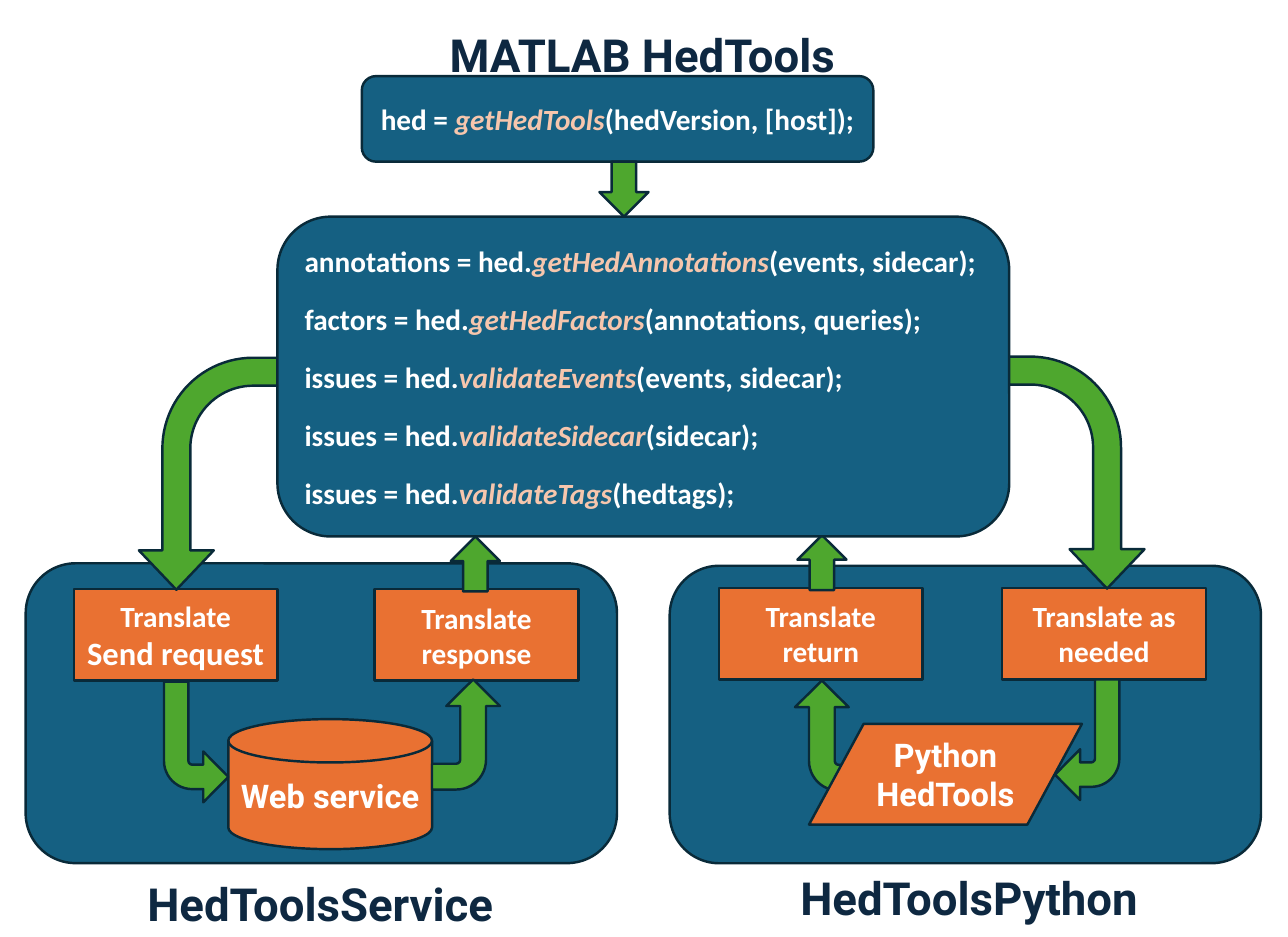
from dataclasses import dataclass
from typing import NamedTuple

from pptx import Presentation
from pptx.dml.color import RGBColor
from pptx.enum.shapes import MSO_SHAPE
from pptx.enum.text import MSO_ANCHOR, MSO_AUTO_SIZE, PP_ALIGN
from pptx.util import Pt

BLUE = RGBColor(0x15, 0x60, 0x82)
ORANGE = RGBColor(0xE9, 0x71, 0x32)
GREEN = RGBColor(0x4E, 0xA7, 0x2E)
OUTLINE = RGBColor(0x09, 0x2A, 0x39)
NAVY = RGBColor(0x0E, 0x28, 0x41)
PEACH = RGBColor(0xF6, 0xC6, 0xAD)
WHITE = RGBColor(0xFF, 0xFF, 0xFF)

LONG_BEND = (0.135, 0.181, 0.19, 0.438)
SHORT_BEND = (0.379, 0.395, 0.39, 0.438)
STEP_SIZE = (125.3, 56.2)
PANEL_WIDTH = 363.6
ARROW_SIZE = (30.2, 33.8)


class Area(NamedTuple):
    left: float
    top: float
    width: float
    height: float


class Call(NamedTuple):
    before: str
    function: str
    after: str


@dataclass
class Block:
    kind: MSO_SHAPE
    area: Area
    fill: RGBColor
    lines: tuple = ()
    font: str = "Calibri"
    sizes: tuple = (18,)
    align: PP_ALIGN = PP_ALIGN.CENTER
    gap: float = 0


@dataclass
class Bend:
    area: Area
    rotation: int
    mirrored: bool
    bends: tuple


@dataclass
class Heading:
    area: Area
    text: str


def add_span(para, text: str, *, size: float, font: str = "Calibri",
             color: RGBColor = WHITE, italic: bool = False) -> None:
    span = para.add_run()
    span.text = text
    span.font.name = font
    span.font.size = Pt(size)
    span.font.bold = True
    span.font.italic = italic
    span.font.color.rgb = color


def add_shape(page, kind: MSO_SHAPE, area: Area, fill: RGBColor):
    shape = page.shapes.add_shape(kind, *map(Pt, area))
    shape.shadow.inherit = False
    shape.fill.solid()
    shape.fill.fore_color.rgb = fill
    shape.line.color.rgb = OUTLINE
    shape.line.width = Pt(1.5)
    return shape


def draw_block(page, block: Block) -> None:
    frame = add_shape(page, block.kind, block.area, block.fill).text_frame
    frame.word_wrap = True
    frame.vertical_anchor = MSO_ANCHOR.MIDDLE
    for index, line in enumerate(block.lines):
        para = frame.paragraphs[0] if index == 0 else frame.add_paragraph()
        para.alignment = block.align
        if index:
            para.space_before = Pt(block.gap)
        size = block.sizes[min(index, len(block.sizes) - 1)]
        if isinstance(line, Call):
            add_span(para, line.before, size=size)
            add_span(para, line.function, size=size, color=PEACH, italic=True)
            add_span(para, line.after, size=size)
        else:
            add_span(para, line, size=size, font=block.font)


def draw_bend(page, bend: Bend) -> None:
    arrow = add_shape(page, MSO_SHAPE.BENT_ARROW, bend.area, GREEN)
    arrow.rotation = bend.rotation
    for index, value in enumerate(bend.bends):
        arrow.adjustments[index] = value
    if bend.mirrored:
        arrow.element.spPr.get_or_add_xfrm().set("flipH", "1")


def draw_heading(page, heading: Heading) -> None:
    box = page.shapes.add_textbox(*map(Pt, heading.area))
    frame = box.text_frame
    frame.word_wrap = True
    frame.auto_size = MSO_AUTO_SIZE.SHAPE_TO_FIT_TEXT
    para = frame.paragraphs[0]
    para.alignment = PP_ALIGN.CENTER
    add_span(para, heading.text, size=28, font="Roboto", color=NAVY)


def step(left: float, top: float, *lines: str, sizes: tuple = (18,)) -> Block:
    return Block(MSO_SHAPE.RECTANGLE, Area(left, top, *STEP_SIZE), ORANGE, lines, sizes=sizes)


def short_arrow(kind: MSO_SHAPE, left: float, top: float) -> Block:
    return Block(kind, Area(left, top, *ARROW_SIZE), GREEN)


# Everything on the slide, from back to front
PARTS = (
    # Lower panels
    Block(MSO_SHAPE.ROUNDED_RECTANGLE, Area(411.8, 347.8, PANEL_WIDTH, 182.9), BLUE),
    Block(MSO_SHAPE.ROUNDED_RECTANGLE, Area(15.8, 346.3, PANEL_WIDTH, 184.3), BLUE),
    # Steps and their arrows
    Block(MSO_SHAPE.FLOWCHART_MAGNETIC_DISK, Area(140.4, 442.1, 125.3, 79.9), ORANGE,
          ("Web service",), font="Roboto", sizes=(20,)),
    step(230.4, 362.2, "Translate response"),
    step(45.4, 362.2, "Translate", "Send request", sizes=(18, 20)),
    Bend(Area(77.8, 227.5, 142.6, 127.4), 270, True, LONG_BEND),
    step(442.1, 361.4, "Translate return"),
    step(616.3, 361.4, "Translate as needed"),
    short_arrow(MSO_SHAPE.UP_ARROW, 277.2, 329.8),
    short_arrow(MSO_SHAPE.UP_ARROW, 490.3, 329),
    Bend(Area(100.8, 419, 39.6, 74.2), 180, True, SHORT_BEND),
    Bend(Area(252.7, 430.6, 67.7, 41.8), 90, True, SHORT_BEND),
    Bend(Area(648.7, 417.6, 39.6, 74.2), 180, False, SHORT_BEND),
    Bend(Area(475.9, 431.3, 67.7, 41.8), 270, False, SHORT_BEND),
    Heading(Area(80.6, 535, 232.6, 41), "HedToolsService"),
    Heading(Area(479.5, 531.4, 232.6, 41), "HedToolsPython"),
    Block(MSO_SHAPE.FLOWCHART_DATA, Area(497.5, 445, 167.8, 61.9), ORANGE,
          ("Python HedTools",), font="Roboto", sizes=(20,)),
    Bend(Area(568.8, 226.8, 142.6, 127.4), 90, False, LONG_BEND),
    # Function calls
    Block(MSO_SHAPE.ROUNDED_RECTANGLE, Area(170.6, 133.2, 450, 196.6), BLUE, (
        Call("annotations = hed.", "getHedAnnotations", "(events, sidecar);"),
        Call("factors = hed.", "getHedFactors", "(annotations, queries);"),
        Call("issues = hed.", "validateEvents", "(events, sidecar);"),
        Call("issues = hed.", "validateSidecar", "(sidecar);"),
        Call("issues = hed.", "validateTags", "(hedtags);"),
    ), align=PP_ALIGN.LEFT, gap=14),
    Block(MSO_SHAPE.ROUNDED_RECTANGLE, Area(222.5, 46.8, 314.6, 52.6), BLUE,
          (Call("hed = ", "getHedTools", "(hedVersion, [host]);"),)),
    short_arrow(MSO_SHAPE.DOWN_ARROW, 368.6, 99.4),
    Heading(Area(259.2, 13, 271.4, 41), "MATLAB HedTools"),
)

DRAW = {Block: draw_block, Bend: draw_bend, Heading: draw_heading}


def main() -> None:
    deck = Presentation()
    deck.slide_width, deck.slide_height = Pt(792), Pt(576)
    page = deck.slides.add_slide(deck.slide_layouts[6])
    for part in PARTS:
        DRAW[type(part)](page, part)
    deck.save("out.pptx")


if __name__ == "__main__":
    main()
